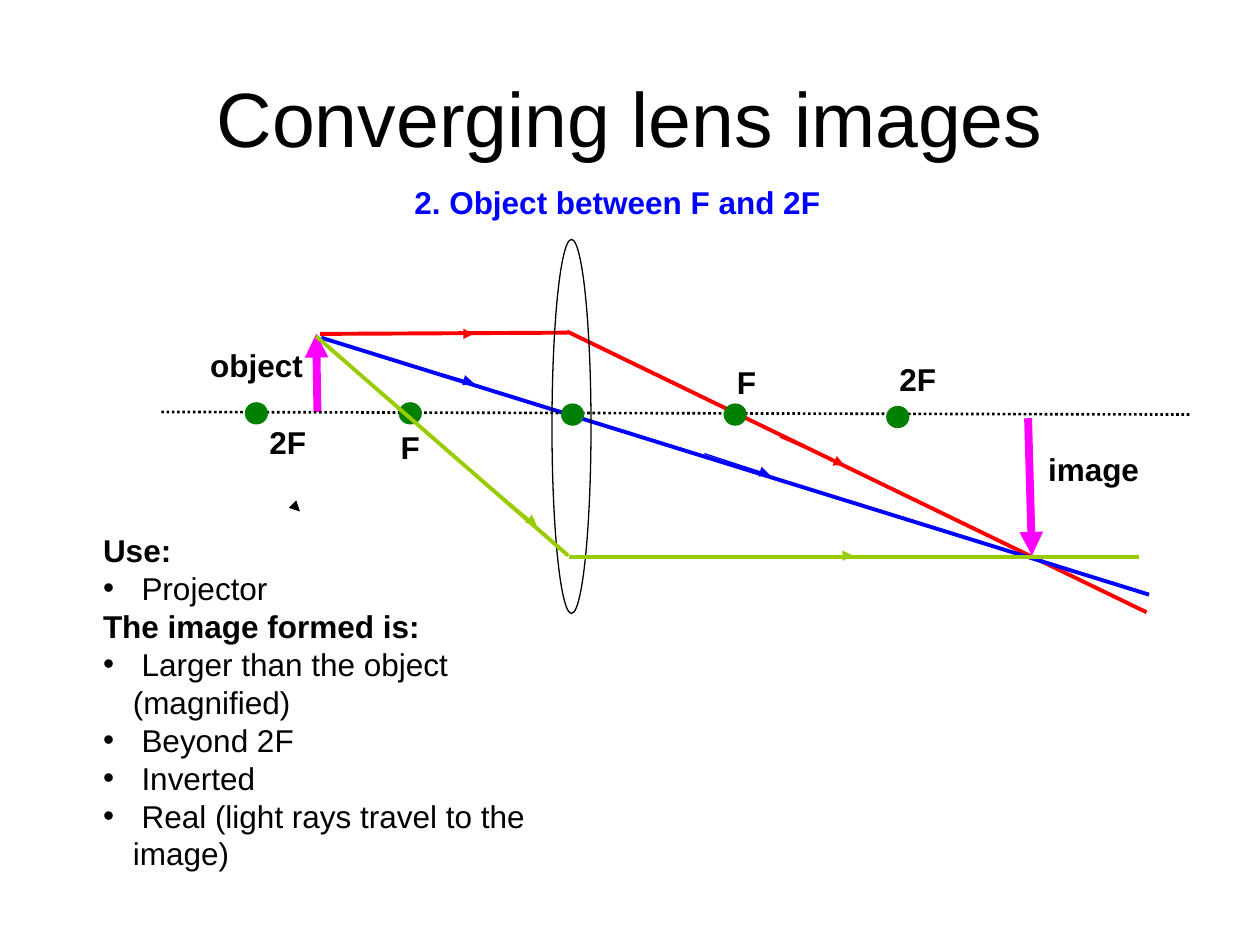
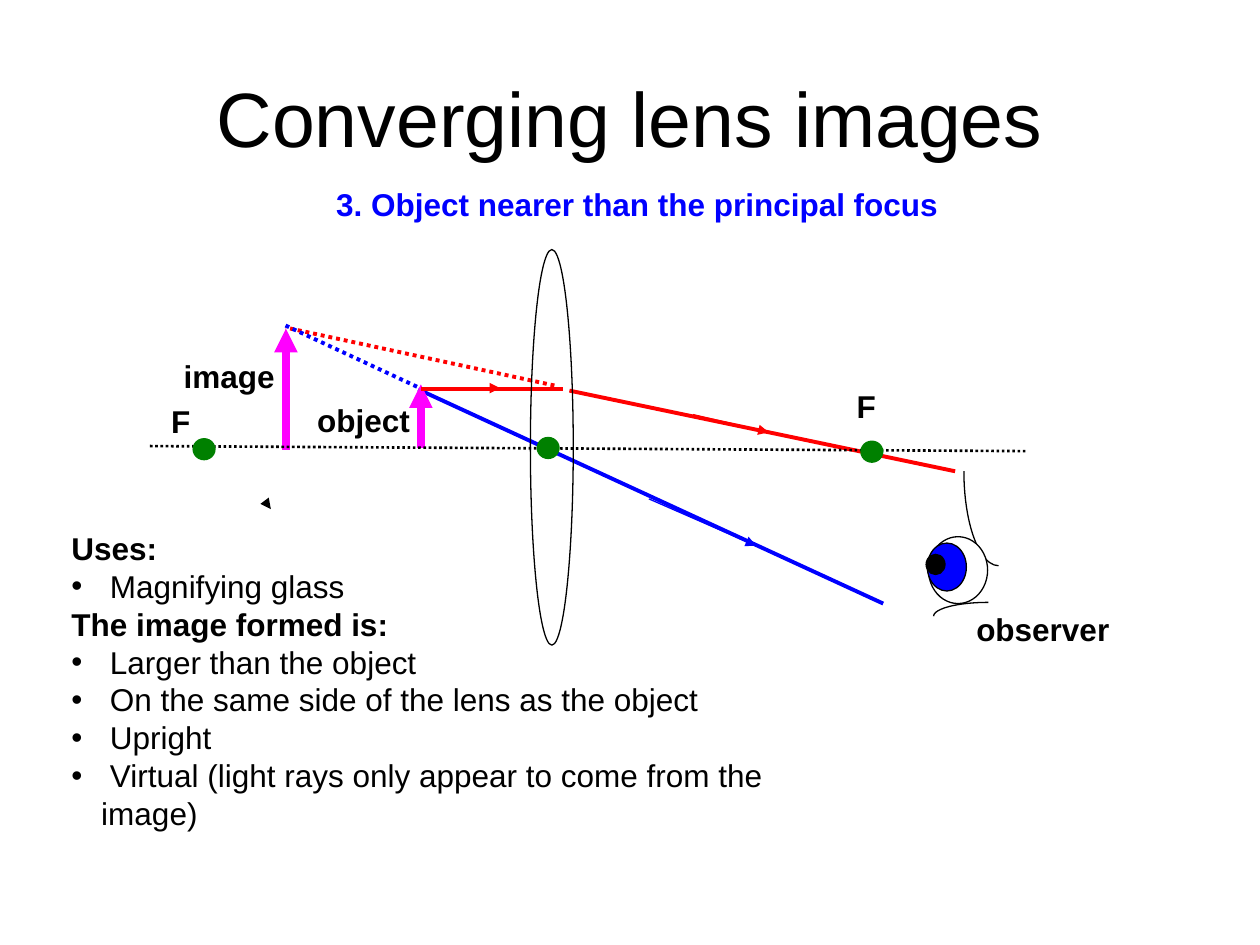
from pptx import Presentation
from pptx.dml.color import RGBColor
from pptx.enum import dml, shapes, text
from pptx.oxml import ns
from pptx.util import Pt
from lxml import etree

FONT = "Arial"
BLACK, WHITE, RED, BLUE = "000000", "FFFFFF", "FF0000", "0000FF"
LIME, GREEN, PINK = "99CC00", "008000", "FF00FF"
OVAL, ARC = shapes.MSO_SHAPE.OVAL, shapes.MSO_SHAPE.ARC
HANG = 17


def paint(target, color):
    target.solid()
    target.fore_color.rgb = RGBColor.from_string(color)


def style(para, size, color=BLACK, bold=False):
    for run in para.runs:
        run.font.name = FONT
        run.font.size = Pt(size)
        run.font.bold = bold
        paint(run.font.fill, color)


def box(slide, left, top, width, height):
    frame = slide.shapes.add_textbox(Pt(left), Pt(top), Pt(width), Pt(height)).text_frame
    frame.word_wrap = True
    return frame


def label(slide, words, left, top, width=85, color=BLACK):
    frame = box(slide, left, top, width, 29)
    frame.text = words
    style(frame.paragraphs[0], 18, color, True)


def title(slide):
    frame = box(slide, 36, 21.6, 648, 90)
    frame.vertical_anchor = text.MSO_ANCHOR.MIDDLE
    frame.text = "Converging lens images"
    para = frame.paragraphs[0]
    para.alignment = text.PP_ALIGN.CENTER
    style(para, 44)


def bullet(para):
    props = para._p.get_or_add_pPr()
    props.set("marL", str(Pt(HANG)))
    props.set("indent", str(-Pt(HANG)))
    etree.SubElement(props, ns.qn("a:buFont")).set("typeface", FONT)
    etree.SubElement(props, ns.qn("a:buChar")).set("char", "•")


def notes(slide, left, top, width, parts):
    frame = box(slide, left, top, width, 158.4)
    frame.vertical_anchor = text.MSO_ANCHOR.MIDDLE
    lines = [(head, True) for head in ()]
    for head, points in parts:
        lines.append((head, True))
        lines += [(" " + point, False) for point in points]
    for i, (words, bold) in enumerate(lines):
        para = frame.add_paragraph() if i else frame.paragraphs[0]
        para.text = words
        if not bold:
            bullet(para)
        para.line_spacing = Pt(21.65)
        style(para, 18, bold=bold)


def ray(slide, start, end, color, width=2.25, dots=False, tip=False):
    ends = [Pt(v) for v in (*start, *end)]
    line = slide.shapes.add_connector(shapes.MSO_CONNECTOR.STRAIGHT, *ends)
    paint(line.line.fill, color)
    line.line.width = Pt(width)
    if dots:
        line.line.dash_style = dml.MSO_LINE.ROUND_DOT
    if tip:
        edge = line.line._get_or_add_ln()
        etree.SubElement(edge, ns.qn("a:tailEnd")).set("type", "triangle")
    etree.SubElement(line._element.spPr, ns.qn("a:effectLst"))


def mark(slide, start, end, color):
    ray(slide, start, end, color, 0.75, tip=True)


def arrow(slide, start, end):
    ray(slide, start, end, PINK, 4.5, tip=True)


def axis(slide, start, end):
    ray(slide, start, end, BLACK, 1.5, dots=True)


def speck(slide, x, y):
    mark(slide, (x, y), (x + 0.1, y + 0.1), BLACK)


def shape(slide, kind, left, top, width, height, fill=None, line=BLACK):
    item = slide.shapes.add_shape(kind, Pt(left), Pt(top), Pt(width), Pt(height))
    item.shadow.inherit = False
    if fill:
        paint(item.fill, fill)
    else:
        item.fill.background()
    paint(item.line.fill, line)
    item.line.width = Pt(0.75)
    return item


def dot(slide, x, y):
    wide, high = 12.5, 12
    shape(slide, OVAL, x - wide / 2, y - high / 2, wide, high, GREEN, GREEN)


def arc(slide, left, top, width, height, start):
    item = shape(slide, ARC, left, top, width, height)
    for i, angle in enumerate((start, start + 90)):
        item.adjustments[i] = angle * 0.6


def eye(slide):
    arc(slide, 550.8, 215.3, 39.6, 108, 90)
    arc(slide, 533.5, 344.2, 62.6, 15.8, 180)
    shape(slide, OVAL, 530.6, 306.7, 33.8, 38.2, WHITE)
    shape(slide, OVAL, 529.9, 310.3, 22.3, 27.4, BLUE)
    shape(slide, OVAL, 529.2, 316.8, 10.8, 11.5, BLACK)


def middle(slide):
    title(slide)
    label(slide, "2. Object between F and 2F", 229.7, 100.8, 255, BLUE)

    ray(slide, (182.9, 190.8), (324.7, 190.1), RED)
    ray(slide, (324, 189.4), (655.2, 349.9), RED)
    mark(slide, (220.3, 190.8), (270.7, 190.8), RED)
    mark(slide, (445.7, 249.8), (482.4, 265.7), RED)

    ray(slide, (183.6, 193), (656.6, 339.8), BLUE)
    mark(slide, (234.7, 208.8), (270.7, 218.9), BLUE)
    mark(slide, (402.5, 259.2), (439.9, 271.4), BLUE)

    speck(slide, 171.3, 292.2)
    arrow(slide, (181.4, 235.4), (180.7, 190.8))
    label(slide, "object", 113, 194.4)
    arrow(slide, (587.5, 239), (589.7, 317.5))
    label(slide, "image", 591.8, 253.4)

    axis(slide, (92.2, 235.4), (679.7, 236.9))
    for x, y in ((234.4, 236.2), (146.5, 236.2), (327.2, 236.9), (420.1, 236.9), (513, 238.3)):
        dot(slide, x, y)
    shape(slide, OVAL, 315.4, 136.8, 22.3, 213.8)
    for words, x, y in (("F", 221.8, 241.2), ("2F", 146.9, 238.3),
                        ("F", 414, 203.8), ("2F", 506.9, 202.3)):
        label(slide, words, x, y, 48)

    notes(slide, 51.8, 321.8, 290, [
        ("Use:", ["Projector"]),
        ("The image formed is:", ["Larger than the object (magnified)", "Beyond 2F", "Inverted",
                                  "Real (light rays travel to the image)"])])

    ray(slide, (180.7, 192.2), (324.7, 317.5), LIME)
    ray(slide, (325.4, 318.2), (650.9, 318.2), LIME)
    mark(slide, (248.4, 252), (306.7, 300.2), LIME)
    mark(slide, (394.6, 318.2), (487.4, 317.5), LIME)


def near(slide):
    title(slide)
    speck(slide, 154.7, 290.8)
    eye(slide)
    label(slide, "observer", 550.8, 344.9, 110)

    ray(slide, (239, 222.5), (504.7, 344.9), BLUE)
    mark(slide, (370.8, 285.1), (432, 311.8), BLUE)

    arrow(slide, (240.5, 256.3), (240.5, 219.6))
    label(slide, "object", 174.2, 225.4)
    arrow(slide, (163.4, 257), (163.4, 187.9))
    label(slide, "image", 97.9, 200.2)

    ray(slide, (316.8, 220.3), (163.4, 187.2), RED, dots=True)
    ray(slide, (238.3, 221), (162.7, 185.8), BLUE, dots=True)
    ray(slide, (240.5, 222.5), (321.8, 222.5), RED)
    ray(slide, (325.4, 223.2), (545.8, 269.3), RED)
    mark(slide, (244.1, 221.8), (285.8, 221.8), RED)
    mark(slide, (396, 236.9), (439.2, 247), RED)

    axis(slide, (85.7, 254.9), (586.1, 257.8))
    for x, y in ((116.6, 256.7), (313.2, 256), (498.2, 258.1)):
        dot(slide, x, y)
    shape(slide, OVAL, 303.1, 142.6, 24.5, 226.1)
    for x, y in ((90.7, 226.1), (482.4, 217.4)):
        label(slide, "F", x, y, 40)

    label(slide, "3. Object nearer than the principal focus", 185, 102.2, 370, BLUE)
    notes(slide, 33.8, 309.6, 458.6, [
        ("Uses:", ["Magnifying glass"]),
        ("The image formed is:", ["Larger than the object",
                                  "On the same side of the lens as the object", "Upright",
                                  "Virtual (light rays only appear to come from the image)"])])


def main():
    deck = Presentation()
    deck.slide_width, deck.slide_height = Pt(720), Pt(540)
    for build in (middle, near):
        build(deck.slides.add_slide(deck.slide_layouts[6]))
    deck.save("out.pptx")


if __name__ == "__main__":
    main()
